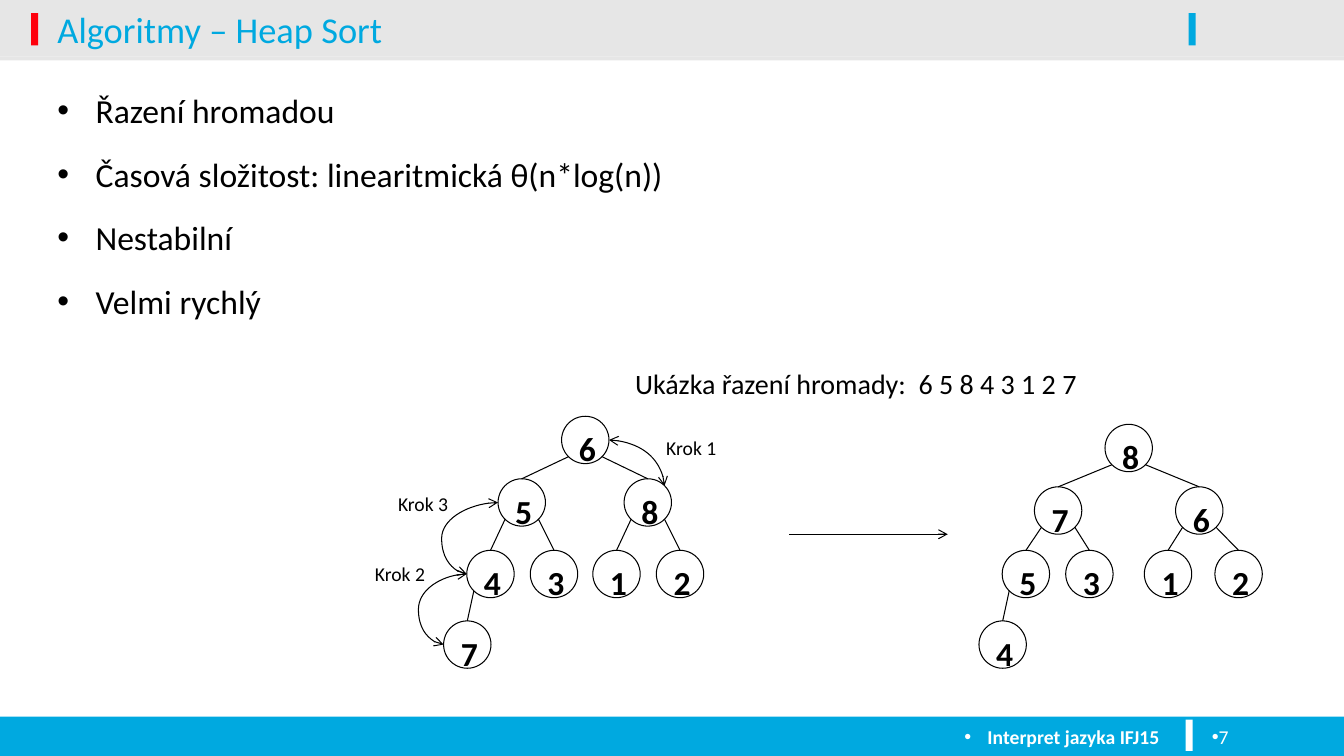
from lxml.etree import SubElement
from pptx import Presentation
from pptx.dml.color import RGBColor
from pptx.enum.shapes import MSO_CONNECTOR, MSO_SHAPE
from pptx.enum.text import MSO_ANCHOR, PP_ALIGN
from pptx.oxml.ns import qn
from pptx.util import Inches, Pt

BLUE, RED, GREY, WHITE, BLACK = "00A9E0", "FE000C", "E6E6E6", "FFFFFF", "000000"
NODE = 0.47
NEAR, FAR = 0.07, 0.40


def color(value):
    """Turn a hex string into a colour."""
    return RGBColor.from_string(value)


def apply(target, formats):
    """Set every attribute named in a dict of format values."""
    for name, value in formats.items():
        setattr(target, name, value)


def place(shape, box):
    """Move and size a shape to a box in inches."""
    sides = ("left", "top", "width", "height")
    apply(shape, {side: Inches(length) for side, length in zip(sides, box)})


def add_bar(page, box, fill):
    """Draw a plain filled rectangle."""
    bar = page.shapes.add_shape(MSO_SHAPE.RECTANGLE, *map(Inches, box))
    bar.shadow.inherit = False
    bar.fill.solid()
    bar.fill.fore_color.rgb = color(fill)
    bar.line.fill.background()


def write(para, text, size, fill=BLACK, bold=False, align=PP_ALIGN.LEFT):
    """Write one formatted run into a paragraph."""
    para.alignment = align
    span = para.add_run()
    span.text = text
    apply(span.font, {"name": "Calibri", "size": Pt(size), "bold": bold})
    span.font.color.rgb = color(fill)


def add_bullet(para, indent):
    """Give a paragraph a round bullet with a hanging indent."""
    properties = para._p.get_or_add_pPr()
    properties.set("marL", str(Inches(indent)))
    properties.set("indent", str(-Inches(indent)))
    SubElement(properties, qn("a:buFont")).set("typeface", "Arial")
    SubElement(properties, qn("a:buChar")).set("char", "•")


def add_text(page, box, text, size, wrap=False, **style):
    """Add a text box with one paragraph and return the paragraph."""
    frame = page.shapes.add_textbox(*map(Inches, box)).text_frame
    frame.word_wrap = wrap
    write(frame.paragraphs[0], text, size, **style)
    return frame.paragraphs[0]


def add_line(page, start, end, kind=MSO_CONNECTOR.STRAIGHT, arrows=()):
    """Draw a thin black connector with optional arrowheads."""
    line = page.shapes.add_connector(kind, *map(Inches, (*start, *end)))
    line.line.color.rgb = color(BLACK)
    line.line.width = Pt(0.75)
    outline = line.line._get_or_add_ln()
    for arrow in arrows:
        SubElement(outline, qn(f"a:{arrow}")).set("type", "arrow")
    SubElement(line._element.spPr, qn("a:effectLst"))
    return line


def add_swap(page, start, end, bulge=None):
    """Draw a curved double arrow, bulging left or turning one corner."""
    curve = add_line(page, start, end, MSO_CONNECTOR.CURVE, ("headEnd", "tailEnd"))
    geometry = curve._element.spPr.find(qn("a:prstGeom"))
    if bulge is None:
        geometry.set("prst", "curvedConnector2")
        return
    ratio = round(-bulge / (end[0] - start[0]) * 100000)
    guide = SubElement(geometry.find(qn("a:avLst")), qn("a:gd"))
    guide.set("name", "adj1")
    guide.set("fmla", f"val {ratio}")


def add_node(page, left, top, digit):
    """Draw one circled heap value."""
    node = page.shapes.add_shape(MSO_SHAPE.OVAL, *map(Inches, (left, top, NODE, NODE)))
    node.shadow.inherit = False
    node.fill.background()
    node.line.color.rgb = color(BLACK)
    node.line.width = Pt(0.75)
    apply(node.text_frame, {"margin_left": Inches(0.04), "margin_right": 0,
                            "word_wrap": True, "vertical_anchor": MSO_ANCHOR.TOP})
    write(node.text_frame.paragraphs[0], digit, 24, bold=True, align=PP_ALIGN.CENTER)


def add_heap(page, origin, digits, columns, levels):
    """Draw a binary heap listed level by level and return its node corners."""
    corners = [(origin[0] + column, origin[1] + levels[(index + 1).bit_length() - 1])
               for index, column in enumerate(columns)]
    for digit, corner in zip(digits, corners):
        add_node(page, *corner, digit)
    for index, (left, top) in enumerate(corners[1:], 1):
        parent_left, parent_top = corners[(index - 1) // 2]
        side = NEAR if index % 2 else FAR
        add_line(page, (parent_left + side, parent_top + FAR), (left + NODE / 2, top))
    return corners


def add_header(page, box, title):
    """Build the grey header band with its title."""
    left, top, width, height = box
    add_bar(page, (left, top + height - 0.04, width, 0.04), GREY)
    add_bar(page, (left, top, width, height - 0.04), GREY)
    add_bar(page, (left + 0.31, top + 0.13, 0.07, 0.32), RED)
    add_bar(page, (left + 11.79, top + 0.13, 0.07, 0.32), BLUE)
    heading = page.shapes.title
    place(heading, (left + 0.47, top - 0.11, 11.23, 0.79))
    heading.text_frame.vertical_anchor = MSO_ANCHOR.MIDDLE
    write(heading.text_frame.paragraphs[0], title, 26, BLUE)
    page.shapes._spTree.append(heading._element)


def add_points(page, box, points):
    """Build the list of main points."""
    frame = page.shapes.add_textbox(*map(Inches, box)).text_frame
    frame.word_wrap = True
    for index, point in enumerate(points):
        para = frame.add_paragraph() if index else frame.paragraphs[0]
        write(para, point, 24)
        apply(para, {"space_before": Pt(4.8), "space_after": Pt(12)})
        add_bullet(para, 0.38)


def add_demo(page, box):
    """Build the heap before and after sorting, with its swap steps."""
    left, top = box[:2]
    add_text(page, (left + 2.58, top, 4.62, 0.44),
             "Ukázka řazení hromady:  6 5 8 4 3 1 2 7", 20)
    before = add_heap(page, (left + 0.78, top + 0.54), "65843127",
                      (1.17, 0.54, 1.79, 0.23, 0.86, 1.48, 2.11, 0),
                      (0, 0.62, 1.33, 2.03))
    add_heap(page, (left + 6.09, top + 0.62), "87653124",
             (1.25, 0.55, 1.95, 0.23, 0.86, 1.64, 2.34, 0),
             (0, 0.62, 1.25, 1.95))
    root, swapped = before[0], before[2]
    add_swap(page, (root[0] + NODE, root[1] + NODE / 2),
             (swapped[0] + FAR, swapped[1] + NEAR))
    for lower, upper in ((7, 3), (3, 1)):
        start, end = ((before[index][0], before[index][1] + NODE / 2)
                      for index in (lower, upper))
        add_swap(page, start, end, bulge=0.25)
    steps = ((2.89, 0.69), (0, 1.94), (0.23, 1.24))
    for number, (across, down) in enumerate(steps, 1):
        add_text(page, (left + across, top + down, 0.7, 0.34), f"Krok {number}", 14)
    add_line(page, (left + 4.21, top + 1.71), (left + 5.78, top + 1.71),
             arrows=("tailEnd",))


def add_footer(page, box, label, number):
    """Build the blue footer with the talk name and page number."""
    left, top, width, height = box
    add_bar(page, box, BLUE)
    add_bar(page, (left + 11.76, top + 0.03, 0.07, 0.31), WHITE)
    name = add_text(page, (left + 0.16, top + 0.03, 11.44, 0.36), label, 14, wrap=True,
                    fill=WHITE, bold=True, align=PP_ALIGN.RIGHT)
    add_bullet(name, 0.23)
    count = add_text(page, (left + 11.92, top + 0.03, 1.21, 0.36), number, 14,
                     wrap=True, fill=WHITE)
    add_bullet(count, 0)


def build():
    """Build and save the deck."""
    deck = Presentation()
    deck.slide_width, deck.slide_height = Inches(13.33), Inches(7.5)
    page = deck.slides.add_slide(deck.slide_layouts[5])
    add_header(page, (0, 0, 13.33, 0.6), "Algoritmy – Heap Sort")
    add_points(page, (0.47, 0.84, 12.6, 2.6),
               ("Řazení hromadou", "Časová složitost: linearitmická θ(n*log(n))",
                "Nestabilní", "Velmi rychlý"))
    add_demo(page, (3.62, 3.59, 8.9, 3.04))
    add_footer(page, (0, 7.11, 13.33, 0.39), "Interpret jazyka IFJ15", "7")
    deck.save("out.pptx")


build()
